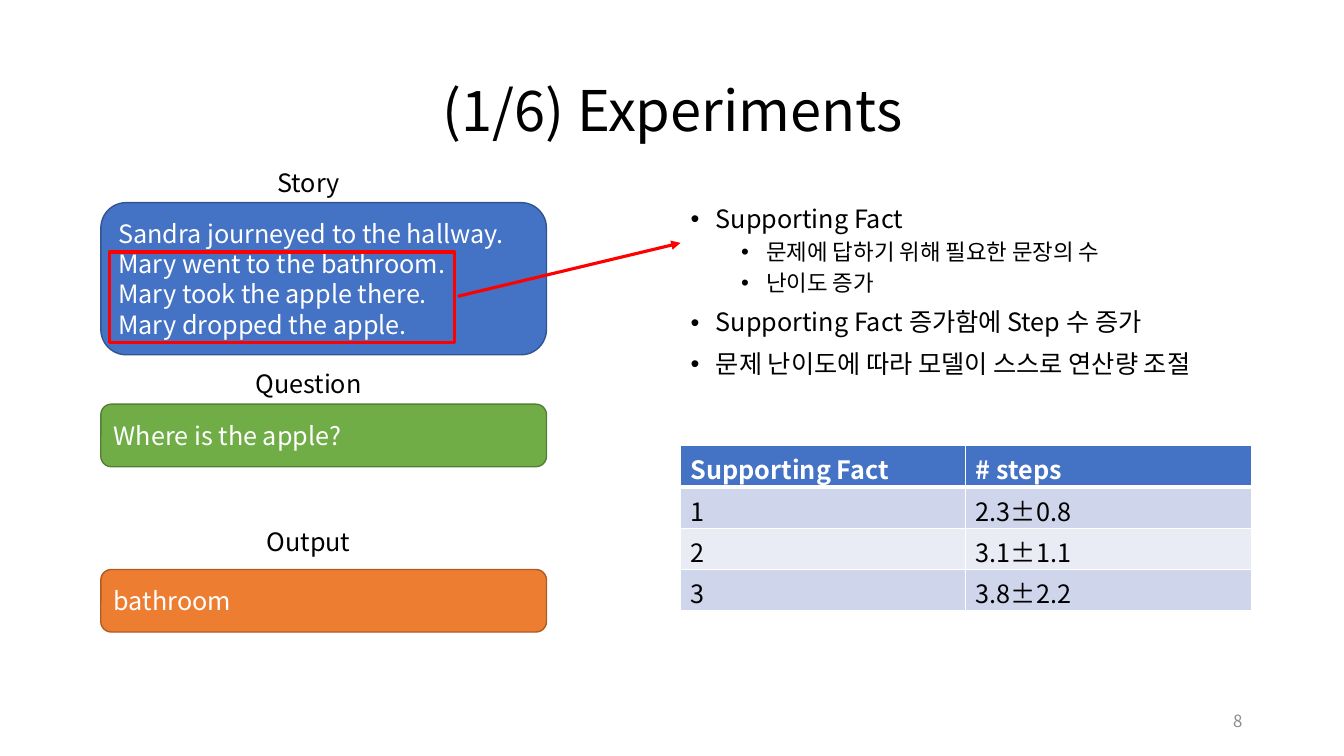
from lxml.etree import SubElement
from pptx import Presentation
from pptx.dml.color import RGBColor
from pptx.enum.shapes import MSO_CONNECTOR, MSO_SHAPE
from pptx.enum.text import MSO_ANCHOR, MSO_AUTO_SIZE, PP_ALIGN
from pptx.oxml.ns import qn
from pptx.util import Pt

EMU_PER_PX = 9144  # 100 px to the inch
FONT = "Noto Sans CJK KR"
COLORS = {
    "black": "000000", "white": "FFFFFF", "gray": "8C8C8C", "red": "FF0000",
    "blue": "4472C4", "blue_edge": "325491",
    "green": "70AD47", "green_edge": "538035",
    "orange": "ED7D31", "orange_edge": "AF5C24",
    "band_dark": "CFD5EA", "band_light": "E9EBF5",
}
STORY = [
    "Sandra journeyed to the hallway.",
    "Mary went to the bathroom.",
    "Mary took the apple there.",
    "Mary dropped the apple.",
]
# Heading, heading top, box top, box height, color, lines
PANELS = [
    ("Story", 161, 201, 151, "blue", STORY),
    ("Question", 360, 401, 62, "green", ["Where is the apple?"]),
    ("Output", 517, 565, 62, "orange", ["bathroom"]),
]
BULLETS = [
    (0, "Supporting Fact"),
    (1, "문제에 답하기 위해 필요한 문장의 수"),
    (1, "난이도 증가"),
    (0, "Supporting Fact 증가함에 Step 수 증가"),
    (0, "문제 난이도에 따라 모델이 스스로 연산량 조절"),
]
STEPS = [
    ("Supporting Fact", "# steps"),
    ("1", "2.3±0.8"),
    ("2", "3.1±1.1"),
    ("3", "3.8±2.2"),
]


def px(*values):
    return [value * EMU_PER_PX for value in values]


def rgb(name):
    return RGBColor.from_string(COLORS[name])


def add_span(para, text, size, color="black", bold=False):
    span = para.add_run()
    span.text = text
    font = span.font
    font.name, font.size, font.bold = FONT, Pt(size), bold
    font.color.rgb = rgb(color)
    SubElement(font._element, qn("a:ea"), typeface=FONT)


def add_lines(frame, lines, size, color="black", align=PP_ALIGN.LEFT):
    for index, line in enumerate(lines):
        para = frame.add_paragraph() if index else frame.paragraphs[0]
        para.alignment = align
        add_span(para, line, size, color)


def place(shape, left, top, width, height):
    shape.left, shape.top, shape.width, shape.height = px(left, top, width, height)


def fill_title(title, text):
    place(title, 92, 40, 1150, 145)
    frame = title.text_frame
    frame.vertical_anchor = MSO_ANCHOR.MIDDLE
    frame.auto_size = MSO_AUTO_SIZE.NONE
    add_lines(frame, [text], 40, align=PP_ALIGN.CENTER)
    frame.paragraphs[0].line_spacing = 0.9


def fill_bullets(body, items):
    place(body, 675, 200, 567, 476)
    frame = body.text_frame
    frame.auto_size = MSO_AUTO_SIZE.NONE
    for index, (level, text) in enumerate(items):
        para = frame.add_paragraph() if index else frame.paragraphs[0]
        para.level = level
        para.line_spacing = 0.9
        para.space_before = Pt(5 if level else 10)
        props = para._p.get_or_add_pPr()
        indent, = px(25)
        props.set("marL", str(indent * (1 + 2 * level)))
        props.set("indent", str(-indent))
        SubElement(props, qn("a:buFont"), typeface="Arial")
        SubElement(props, qn("a:buChar"), char="•")
        add_span(para, text, 16 if level else 18)


def add_label(page, text, bounds, size, color="black", align=PP_ALIGN.CENTER,
              anchor=MSO_ANCHOR.TOP):
    frame = page.shapes.add_textbox(*px(*bounds)).text_frame
    frame.word_wrap = True
    frame.vertical_anchor = anchor
    add_lines(frame, [text], size, color, align)


def add_panel(page, heading, heading_top, top, height, color, lines):
    add_label(page, heading, (202, heading_top, 208, 40), 18)
    box = page.shapes.add_shape(MSO_SHAPE.ROUNDED_RECTANGLE, *px(100, top, 442, height))
    box.shadow.inherit = False
    box.fill.solid()
    box.fill.fore_color.rgb = rgb(color)
    box.line.color.rgb = rgb(color + "_edge")
    box.line.width = Pt(1)
    box.text_frame.word_wrap = True
    box.text_frame.vertical_anchor = MSO_ANCHOR.MIDDLE
    add_lines(box.text_frame, lines, 18, "white")


def add_highlight(page, bounds):
    frame = page.shapes.add_shape(MSO_SHAPE.RECTANGLE, *px(*bounds))
    frame.shadow.inherit = False
    frame.fill.background()
    frame.line.color.rgb = rgb("red")
    frame.line.width = Pt(2.25)


def add_arrow(page, start, end):
    arrow = page.shapes.add_connector(MSO_CONNECTOR.STRAIGHT, *px(*start, *end))
    arrow.line.color.rgb = rgb("red")
    arrow.line.width = Pt(2.25)
    SubElement(arrow.line._get_or_add_ln(), qn("a:tailEnd"), type="triangle")
    SubElement(arrow._element.spPr, qn("a:effectLst"))


def set_borders(cell, widths):
    props = cell._tc.get_or_add_tcPr()
    for index, (side, width) in enumerate(widths.items()):
        line = SubElement(props, qn("a:ln" + side), w=str(Pt(width)))
        fill = SubElement(line, qn("a:solidFill"))
        SubElement(fill, qn("a:srgbClr"), val=COLORS["white"])
        props.insert(index, line)  # borders come before the cell fill


def add_steps_table(page, rows):
    size = len(rows), len(rows[0])
    table = page.shapes.add_table(*size, *px(675, 442, 566, 164)).table
    for row in table.rows:
        row.height, = px(41)
    for r, values in enumerate(rows):
        header = r == 0
        band = "blue" if header else "band_dark" if r % 2 else "band_light"
        for c, value in enumerate(values):
            cell = table.cell(r, c)
            cell.fill.solid()
            cell.fill.fore_color.rgb = rgb(band)
            set_borders(cell, {"L": 1, "R": 1, "T": 3 if r == 1 else 1,
                               "B": 3 if header else 1})
            add_span(cell.text_frame.paragraphs[0], value, 18,
                     "white" if header else "black", header)


def main():
    deck = Presentation()
    deck.slide_width, deck.slide_height = px(1333, 750)
    page = deck.slides.add_slide(deck.slide_layouts[1])

    # Title and findings
    fill_title(page.shapes.title, "(1/6) Experiments")
    fill_bullets(page.placeholders[1], BULLETS)

    # Story, question and output
    for panel in PANELS:
        add_panel(page, *panel)

    # Supporting facts marked in the story
    add_highlight(page, (109, 250, 342, 90))
    add_arrow(page, (454, 294), (675, 241))

    # Step counts
    add_steps_table(page, STEPS)

    # Page number
    add_label(page, "8", (942, 695, 300, 40), 12, "gray", PP_ALIGN.RIGHT, MSO_ANCHOR.MIDDLE)

    deck.save("out.pptx")


if __name__ == "__main__":
    main()
